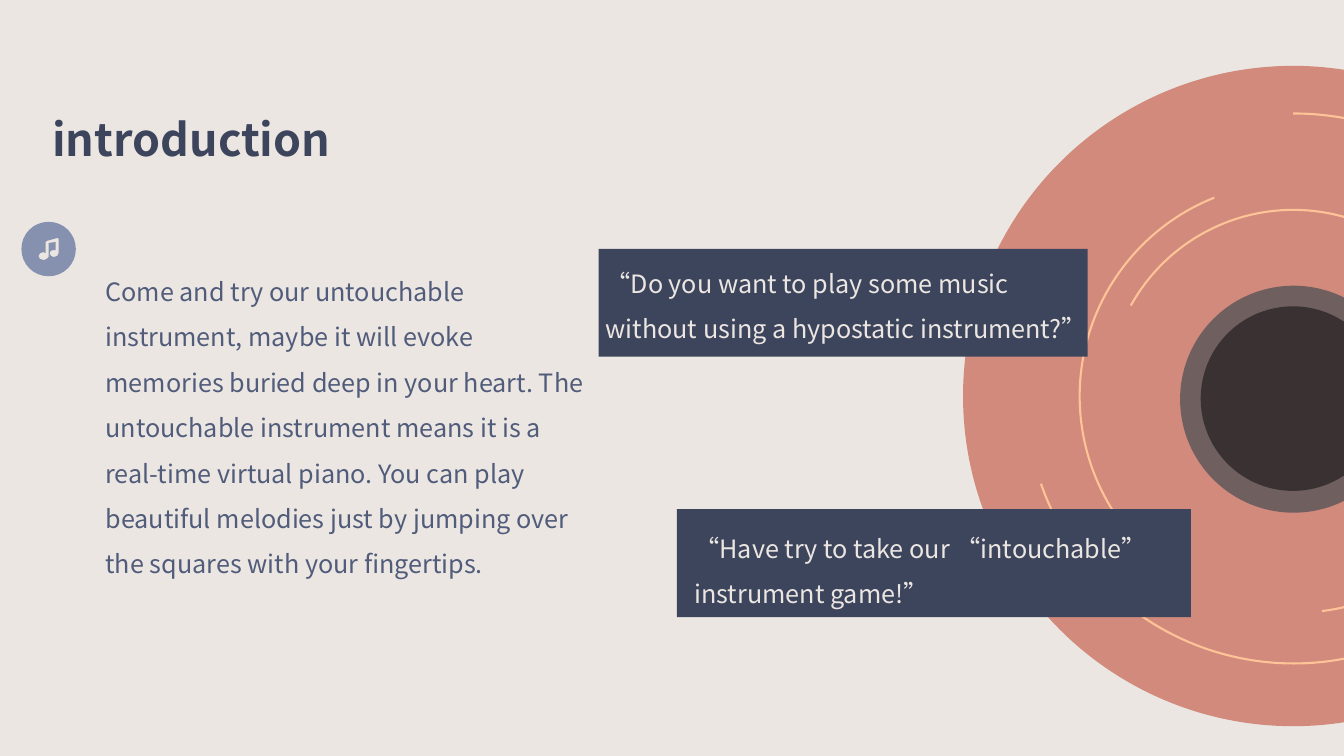
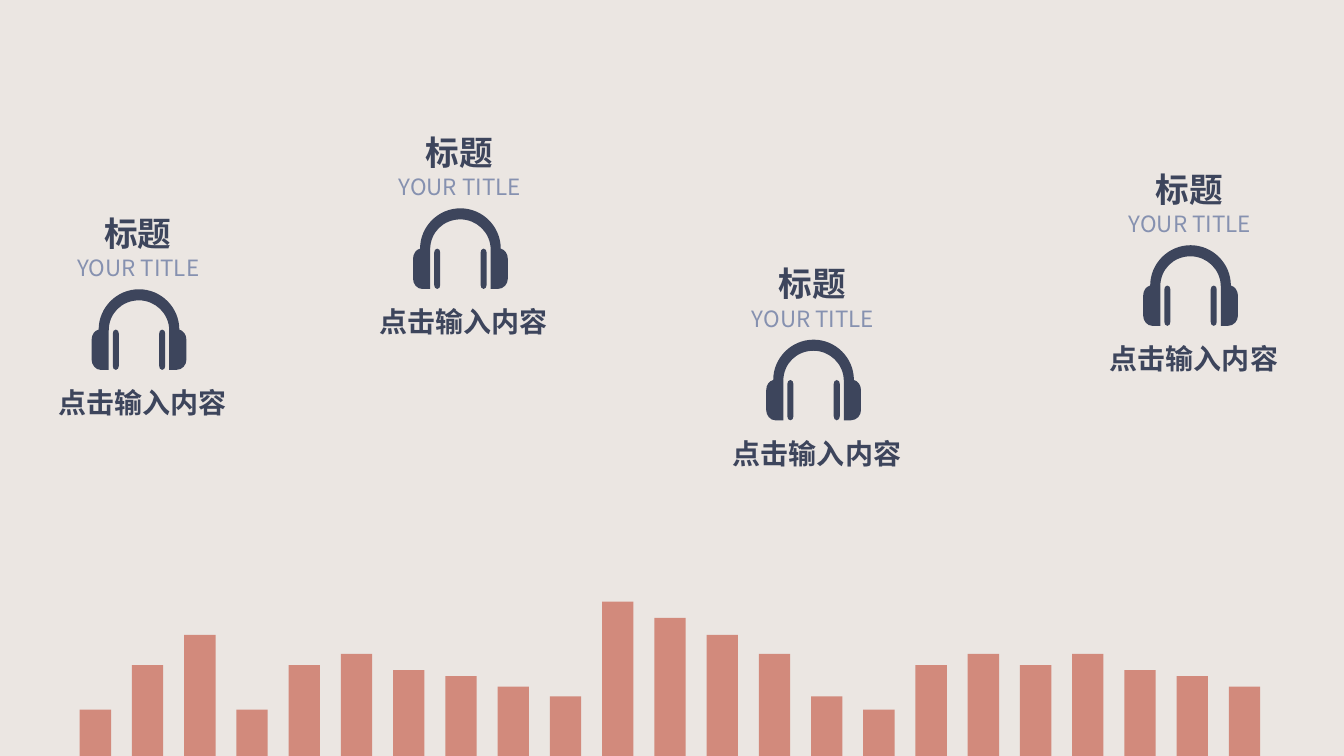
from lxml.etree import SubElement
from pptx import Presentation
from pptx.dml.color import RGBColor
from pptx.enum.shapes import MSO_SHAPE as SHAPE
from pptx.enum.text import MSO_AUTO_SIZE as AUTO
from pptx.oxml.ns import qn
from pptx.util import Cm, Pt

FONT = "Noto Sans CJK SC"
CREAM, NAVY, SLATE, BLUE = "EBE6E2", "3D455C", "515C7B", "8691B0"
CORAL, PEACH, GREY, BLACK = "D28A7C", "FEC397", "6F5F5F", "3A3232"
rgb = RGBColor.from_string


def paint(sp, color):
    sp.shadow.inherit = False
    sp.fill.solid()
    sp.fill.fore_color.rgb = rgb(color)
    sp.line.fill.background()


def add_text(s, text, x, y, w, h, size, color, bold=False, wrap=False, spacing=None):
    tf = s.shapes.add_textbox(Cm(x), Cm(y), Cm(w), Cm(h)).text_frame
    tf.word_wrap = wrap
    tf.auto_size = AUTO.SHAPE_TO_FIT_TEXT
    p = tf.paragraphs[0]
    p.text = text
    p.line_spacing = spacing
    r = p.runs[0]
    r.font.size = Pt(size)
    r.font.bold = bold
    r.font.name = FONT
    r.font.color.rgb = rgb(color)
    SubElement(r._r.get_or_add_rPr(), qn("a:ea"), typeface=FONT)


prs = Presentation()
prs.slide_width, prs.slide_height = Cm(33.87), Cm(19.05)
bg = prs.slide_master.background.fill
bg.solid()
bg.fore_color.rgb = rgb(CREAM)
intro, topics = [prs.slides.add_slide(prs.slide_layouts[6]) for _ in range(2)]

discs = [
    (24.27, 1.66, 16.64, CORAL),
    (29.74, 7.2, 5.72, GREY),
    (30.26, 7.72, 4.65, BLACK),
]
for x, y, d, color in discs:
    paint(intro.shapes.add_shape(SHAPE.OVAL, Cm(x), Cm(y), Cm(d), Cm(d)), color)

grooves = [
    (25.4, 2.86, 14.38, 270, 328.14),
    (25.86, 3.23, 13.49, 48.18, 160.83),
    (27.21, 4.6, 10.77, 137.63, 248.3),
    (27.27, 4.67, 10.77, 22.97, 82.93),
    (27.91, 5.29, 9.37, 209.04, 354.5),
]
for x, y, d, start, end in grooves:
    sp = intro.shapes.add_shape(SHAPE.ARC, Cm(x), Cm(y), Cm(d), Cm(d))
    sp.shadow.inherit = False
    sp.adjustments[0], sp.adjustments[1] = start * 0.6, end * 0.6
    sp.fill.background()
    sp.line.color.rgb = rgb(PEACH)
    sp.line.width = Pt(1.5)

quotes = [
    ("“Do you want to play some music without using a hypostatic instrument?”",
     (15.09, 6.27, 12.32, 2.72), (15.01, 6.25, 12.67, 2.44)),
    ("“Have try to take our “intouchable” instrument game!”",
     (17.06, 12.83, 12.95, 2.72), (17.25, 12.93, 13.34, 2.44)),
]
for text, panel, area in quotes:
    paint(intro.shapes.add_shape(SHAPE.RECTANGLE, *[Cm(v) for v in panel]), NAVY)
    add_text(intro, text, *area, 18, CREAM, wrap=True, spacing=1.5)

add_text(intro, "introduction", 1.07, 2.69, 7.67, 1.63, 32, NAVY, bold=True)
add_text(
    intro,
    "Come and try our untouchable instrument, maybe it will evoke memories buried "
    "deep in your heart. The untouchable instrument means it is a real-time virtual "
    "piano. You can play beautiful melodies just by jumping over the squares with "
    "your fingertips.",
    2.41, 6.46, 12.67, 8.2, 18, SLATE, wrap=True, spacing=1.5)

heights = [1.17, 2.29, 3.05, 1.17, 2.29, 2.57, 2.16, 2.01, 1.75, 1.5, 3.89, 3.48,
           3.05, 2.57, 1.5, 1.17, 2.29, 2.57, 2.29, 2.57, 2.16, 2.01, 1.75]
first, last = 2.01, 30.97
pitch = (last - first) / (len(heights) - 1)
for i, h in enumerate(heights):
    paint(topics.shapes.add_shape(
        SHAPE.RECTANGLE, Cm(first + i * pitch), Cm(19.05 - h), Cm(0.79), Cm(h)), CORAL)

circle = [(27, 0), (12, 0, 0, 12, 0, 27), (0, 42, 12, 54, 27, 54),
          (42, 54, 54, 42, 54, 27), (54, 12, 42, 0, 27, 0)]
note = [(37, 31), (37, 33, 35, 35, 32, 35), (30, 35, 28, 33, 28, 31),
        (28, 29, 30, 28, 32, 28), (33, 28, 34, 28, 34, 28), (34, 20), (27, 21),
        (27, 35), (27, 35, 26, 36, 26, 36), (25, 37, 23, 38, 22, 38),
        (19, 38, 17, 36, 17, 34), (17, 32, 19, 30, 22, 30), (23, 30, 23, 31, 24, 31),
        (24, 20), (24, 19, 24, 19, 25, 19), (36, 16), (36, 16, 36, 16, 37, 17),
        (37, 17, 37, 17, 37, 18), (37, 31)]
right_pad = [(70, 40), (72, 40, 73, 42, 73, 44), (73, 76), (73, 78, 72, 80, 70, 80),
             (68, 80, 67, 78, 67, 76), (67, 44), (67, 42, 68, 40, 70, 40)]
left_pad = [tuple(v if i % 2 else 94 - v for i, v in enumerate(seg)) for seg in right_pad]
band = [(47, 0), (69, 0, 87, 18, 87, 40), (91, 41, 94, 45, 94, 50), (94, 70),
        (94, 75, 90, 80, 84, 80), (77, 80), (77, 41), (77, 24, 63, 11, 47, 11),
        (30, 11, 17, 24, 17, 41), (17, 80), (9, 80), (4, 80, 0, 75, 0, 70), (0, 50),
        (0, 45, 3, 41, 7, 40), (7, 18, 25, 0, 47, 0)]

icons = [(intro, 0.54, 5.59, BLUE, [circle, note])]
for x, y in [(2.31, 7.29), (10.41, 5.25), (19.31, 8.56), (28.81, 6.18)]:
    icons.append((topics, x, y, NAVY, [right_pad, left_pad, band]))
    add_text(topics, "YOUR TITLE", x - 0.61, y - 1, 3.86, 0.94, 16, BLUE)
    add_text(topics, "点击输入内容", x - 1.09, y + 2.31, 4.78, 1.12, 20, NAVY, bold=True)
    add_text(topics, "标题", x + 0.07, y - 2.06, 2.24, 1.27, 24, NAVY, bold=True)

for s, x, y, color, contours in icons:
    fb = s.shapes.build_freeform(*contours[0][0], scale=Cm(0.0254))
    for i, contour in enumerate(contours):
        if i:
            fb.move_to(*contour[0])
        fb.add_line_segments([seg[-2:] for seg in contour[1:]], close=True)
    sp = fb.convert_to_shape(Cm(x), Cm(y))
    paint(sp, color)
    segments = [seg for contour in contours for seg in contour[1:]]
    for line, seg in zip(list(sp._element.iter(qn("a:lnTo"))), segments):
        if len(seg) == 6:
            line.clear()
            line.tag = qn("a:cubicBezTo")
            for px, py in zip(seg[::2], seg[1::2]):
                SubElement(line, qn("a:pt"), x=str(px), y=str(py))

prs.save("out.pptx")
